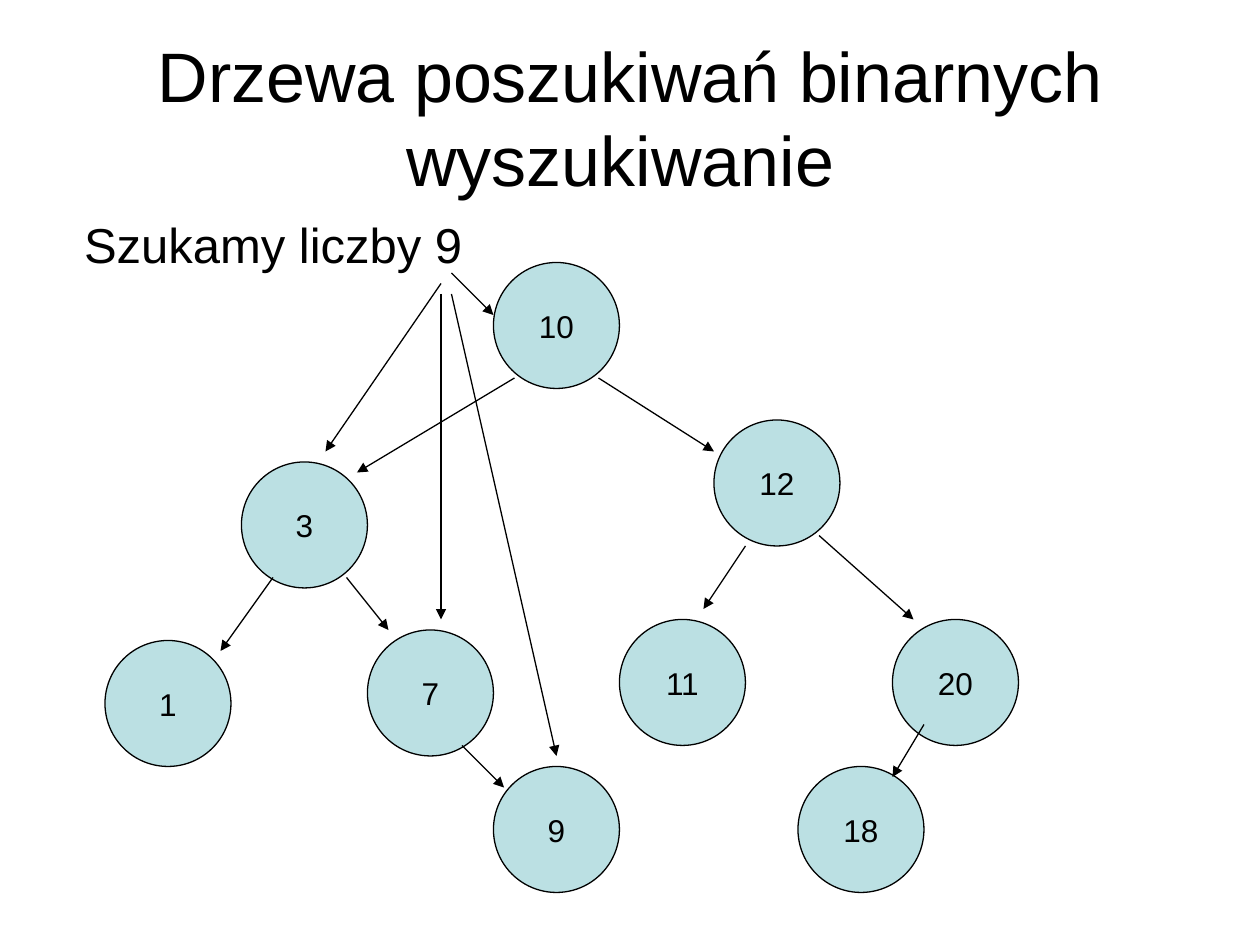
from lxml import etree
from pptx import Presentation
from pptx.dml.color import RGBColor
from pptx.enum.shapes import MSO_CONNECTOR, MSO_SHAPE
from pptx.enum.text import MSO_ANCHOR, PP_ALIGN
from pptx.oxml.ns import qn
from pptx.util import Pt

COLORS = {"ink": "000000", "node": "BBE0E3"}
DIAMETER = 72
LINE_WIDTH = 0.75

# Left and top of each tree node, in points
NODES = {
    "10": (282, 150),
    "3": (138, 264),
    "12": (408, 240),
    "1": (60, 366),
    "7": (210, 360),
    "11": (354, 354),
    "20": (510, 354),
    "9": (282, 438),
    "18": (456, 438),
}

# Start x, start y, end x, end y, in points
TREE_EDGES = [
    (294, 216, 204, 270),  # 10 to 3
    (342, 216, 408, 258),  # 10 to 12
    (156, 330, 126, 372),  # 3 to 1
    (198, 330, 222, 360),  # 3 to 7
    (426, 312, 402, 348),  # 12 to 11
    (468, 306, 522, 354),  # 12 to 20
    (264, 426, 288, 450),  # 7 to 9
    (528, 414, 510, 444),  # 20 to 18
]
SEARCH_STEPS = [
    (258, 156, 282, 180),  # compare with 10
    (252, 162, 186, 258),  # compare with 3
    (252, 168, 252, 354),  # compare with 7
    (258, 168, 318, 432),  # found 9
]


def write(sp, text, size, align, anchor, wrap):
    tf = sp.text_frame
    tf.text = text
    tf.word_wrap = wrap
    tf.vertical_anchor = anchor
    p = tf.paragraphs[0]
    p.alignment = align
    font = p.runs[0].font
    font.name = "Arial"
    font.size = Pt(size)
    font.color.rgb = RGBColor.from_string(COLORS["ink"])


prs = Presentation()
prs.slide_width, prs.slide_height = Pt(720), Pt(540)
s = prs.slides.add_slide(prs.slide_layouts[6])

title = s.shapes.add_textbox(Pt(36), Pt(21.6), Pt(648), Pt(90))
write(title, "Drzewa poszukiwań binarnych wyszukiwanie ", 40,
      PP_ALIGN.CENTER, MSO_ANCHOR.MIDDLE, True)

for value, (left, top) in NODES.items():
    node = s.shapes.add_shape(MSO_SHAPE.OVAL, Pt(left), Pt(top), Pt(DIAMETER), Pt(DIAMETER))
    node.shadow.inherit = False
    node.fill.solid()
    node.fill.fore_color.rgb = RGBColor.from_string(COLORS["node"])
    node.line.color.rgb = RGBColor.from_string(COLORS["ink"])
    node.line.width = Pt(LINE_WIDTH)
    write(node, value, 18, PP_ALIGN.CENTER, MSO_ANCHOR.MIDDLE, False)

for ends in TREE_EDGES + SEARCH_STEPS:
    arrow = s.shapes.add_connector(MSO_CONNECTOR.STRAIGHT, *(Pt(v) for v in ends))
    arrow.line.color.rgb = RGBColor.from_string(COLORS["ink"])
    arrow.line.width = Pt(LINE_WIDTH)
    etree.SubElement(arrow.line._get_or_add_ln(), qn("a:tailEnd"), type="triangle")
    etree.SubElement(arrow._element.spPr, qn("a:effectLst"))

task = s.shapes.add_textbox(Pt(41), Pt(118.8), Pt(230.4), Pt(41))
write(task, "Szukamy liczby 9", 28, PP_ALIGN.LEFT, MSO_ANCHOR.TOP, False)

prs.save("out.pptx")
